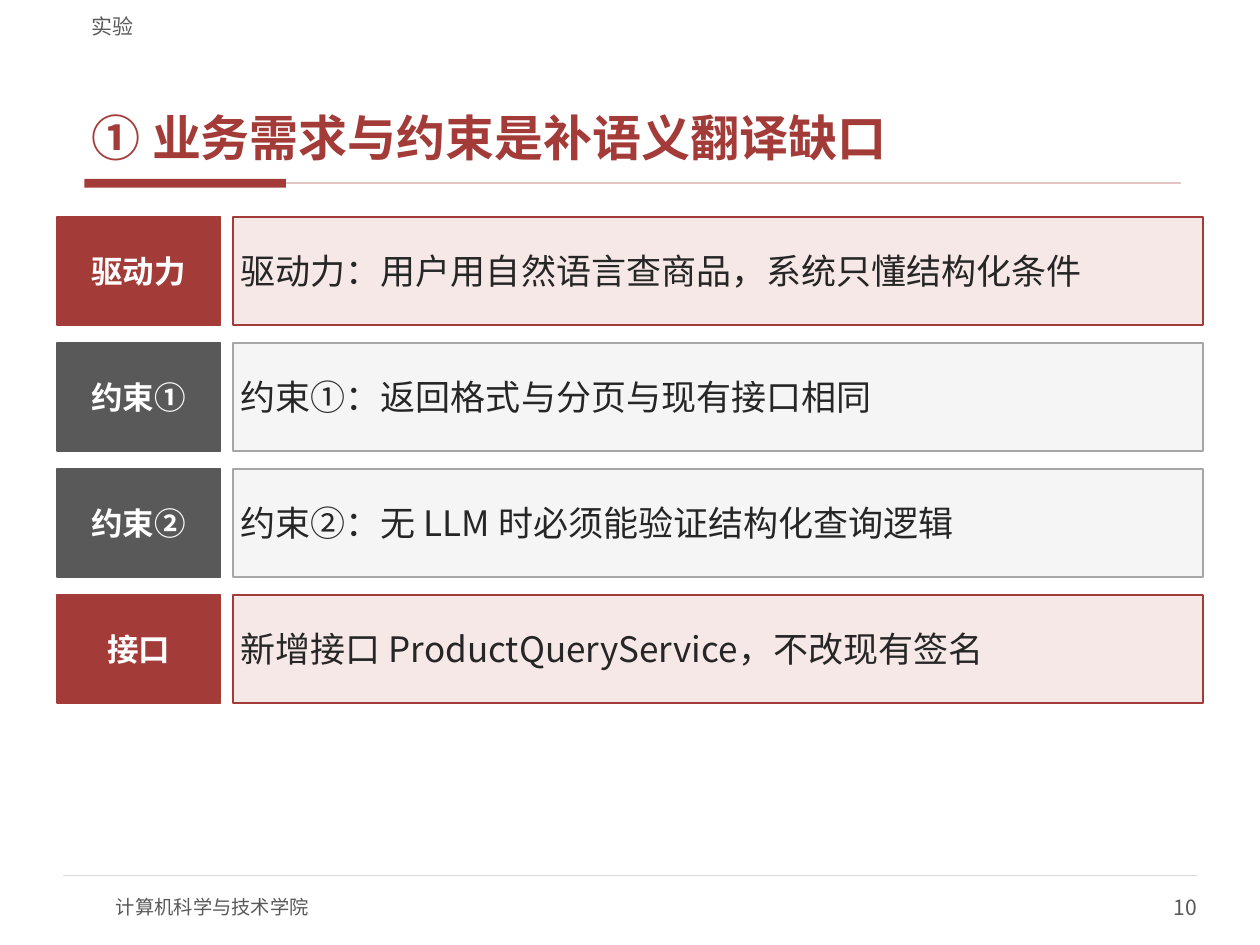
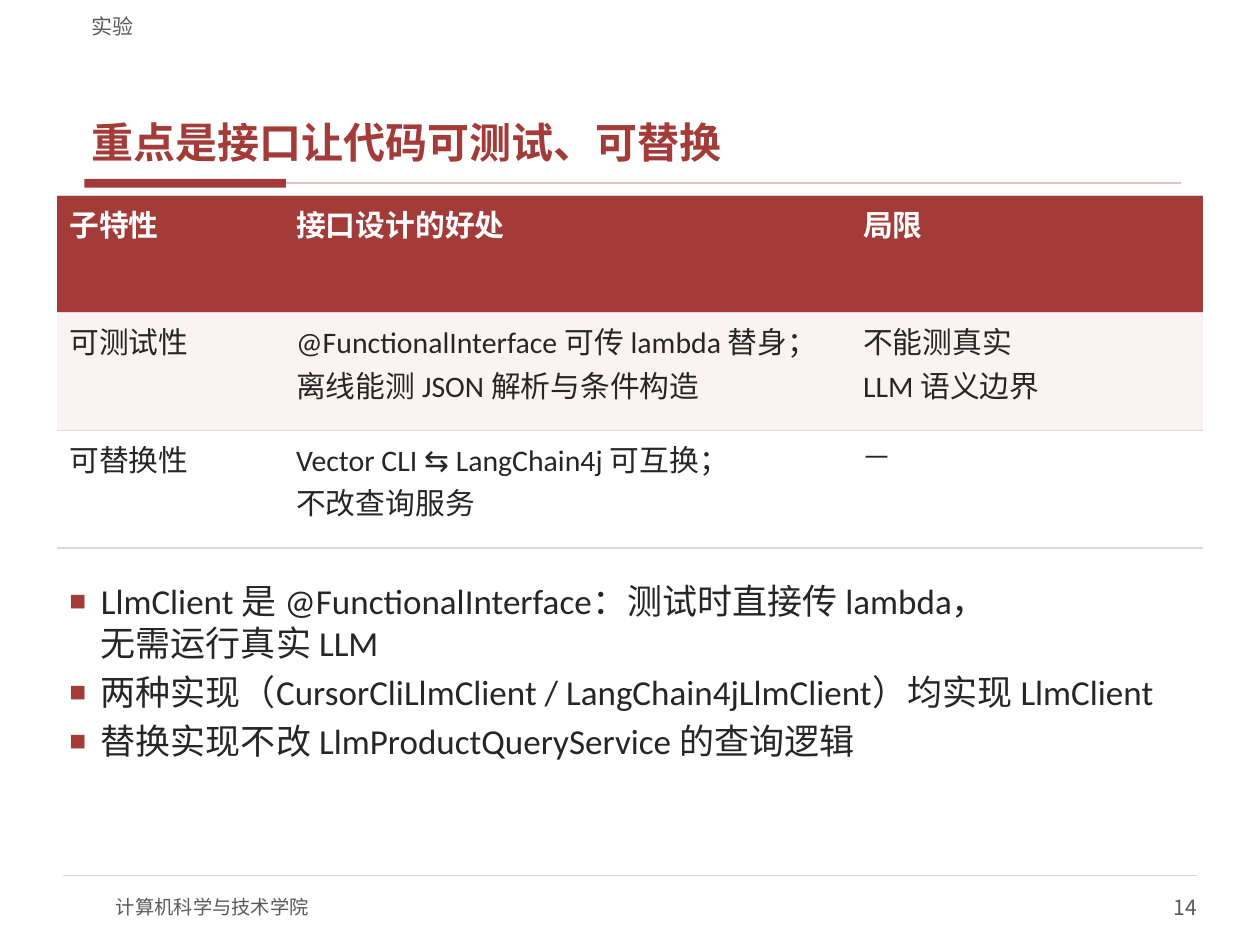
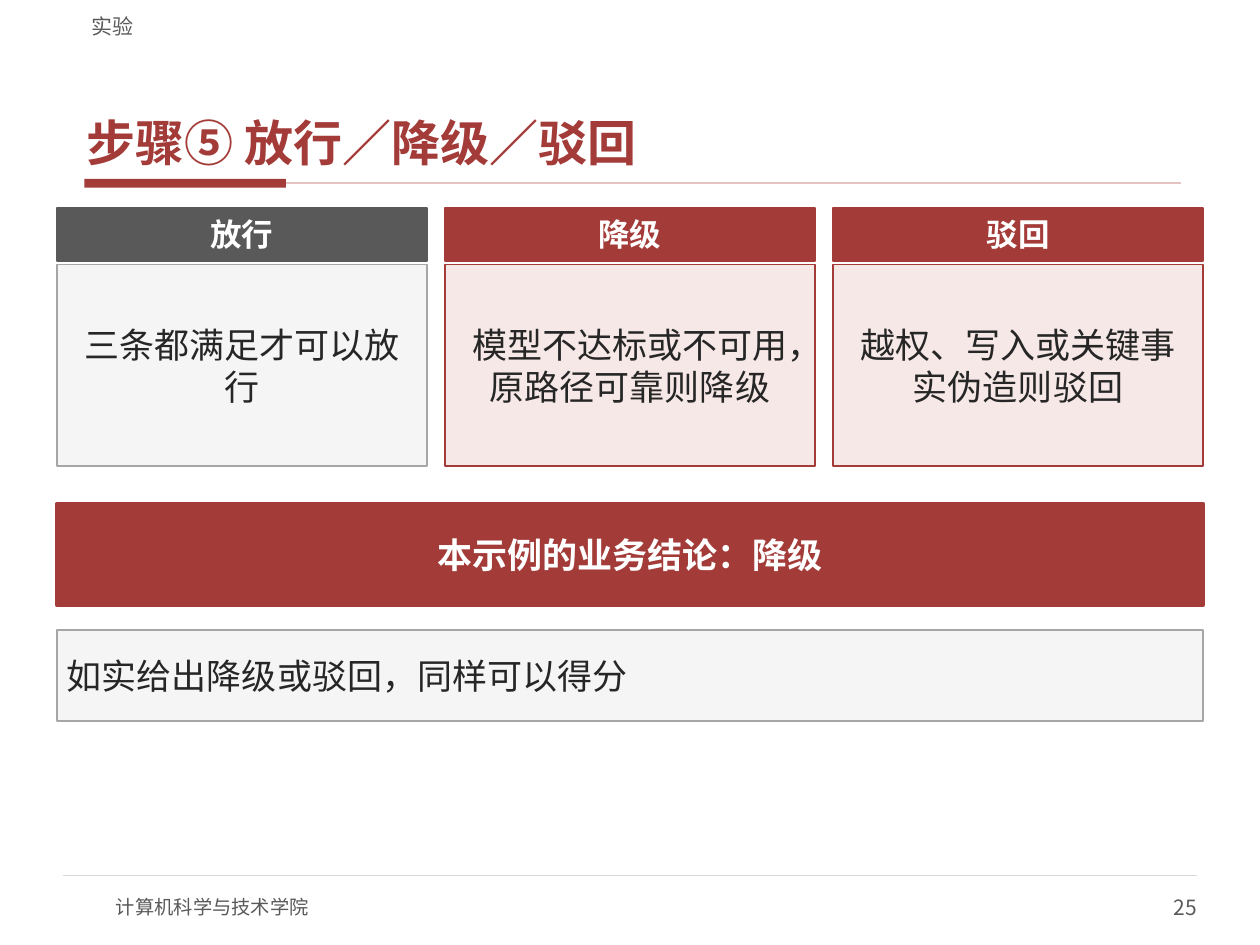
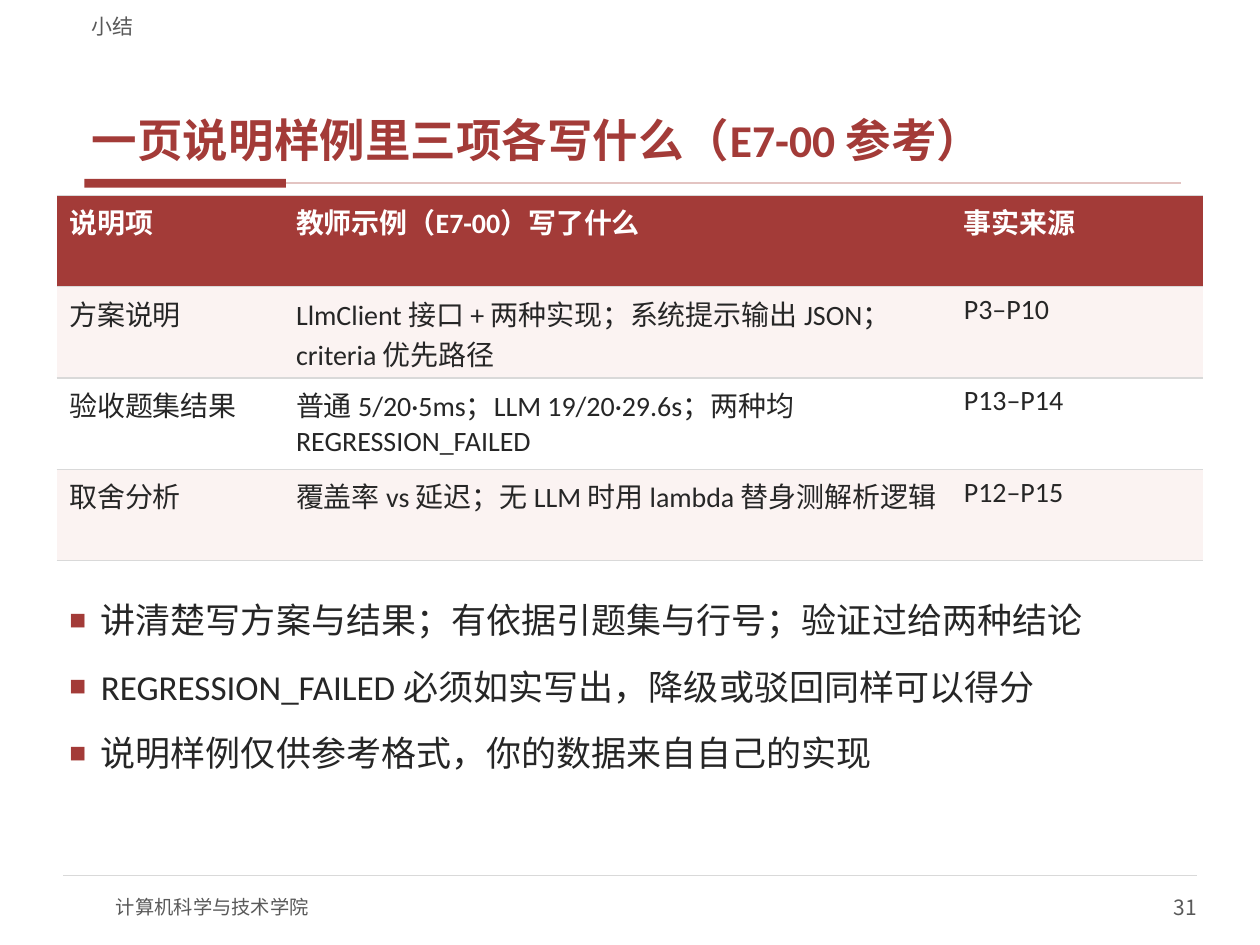
from copy import deepcopy
from dataclasses import dataclass
from typing import Optional, Sequence

from lxml.etree import SubElement
from pptx import Presentation
from pptx.dml.color import RGBColor
from pptx.enum.shapes import MSO_CONNECTOR, MSO_SHAPE
from pptx.enum.text import MSO_ANCHOR, MSO_AUTO_SIZE, PP_ALIGN
from pptx.oxml import parse_xml
from pptx.oxml.ns import nsdecls, qn
from pptx.util import Emu, Pt

PX = 9144  # 100 px to the inch
TITLE_AND_CONTENT, TITLE_ONLY = 1, 5


@dataclass(frozen=True)
class Theme:
    red: str = "A33B38"
    pale_red: str = "F6E8E6"
    row_tint: str = "FBF3F2"
    title_rule: str = "E3C4C2"
    gray: str = "595959"
    pale_gray: str = "F5F5F5"
    gray_border: str = "A6A6A6"
    hairline: str = "D9D9D9"
    ink: str = "262626"
    white: str = "FFFFFF"
    latin: str = "Calibri"
    chinese: str = "Noto Sans CJK SC"
    footer_size: int = 11
    small_size: int = 12
    label_size: int = 18
    body_size: int = 20
    body_leading: int = 24


THEME = Theme()


@dataclass(frozen=True)
class Box:
    left: int
    top: int
    width: int
    height: int

    def emu(self) -> tuple:
        return tuple(Emu(n * PX) for n in (self.left, self.top, self.width, self.height))


@dataclass(frozen=True)
class Palette:
    strong: str
    pale: str
    border: str


RED = Palette(THEME.red, THEME.pale_red, THEME.red)
GRAY = Palette(THEME.gray, THEME.pale_gray, THEME.gray_border)


@dataclass(frozen=True)
class Entry:
    label: str
    text: str
    palette: Palette


@dataclass(frozen=True)
class TableSlide:
    title: str
    title_size: int
    section: str
    number: int
    columns: Sequence[int]
    table_height: int
    cell_size: int
    rows: Sequence[Sequence[str]]
    list_top: int
    list_gap: int
    points: Sequence[str]


MARGIN, CONTENT_WIDTH = 45, 910
TITLE_BOX = Box(63, 33, 875, 105)
SECTION_BOX = Box(63, 4, 875, 27)
ACCENT_BAR = Box(67, 142, 160, 7)
FOOTER_BOX = Box(92, 700, 400, 40)
NUMBER_BOX = Box(750, 700, 200, 40)
LABEL_INSETS = (8, 4)

REQUIREMENTS = [
    Entry("驱动力", "驱动力：用户用自然语言查商品，系统只懂结构化条件", RED),
    Entry("约束①", "约束①：返回格式与分页与现有接口相同", GRAY),
    Entry("约束②", "约束②：无 LLM 时必须能验证结构化查询逻辑", GRAY),
    Entry("接口", "新增接口 ProductQueryService，不改现有签名", RED),
]
DECISIONS = [
    Entry("放行", "三条都满足才可以放行", GRAY),
    Entry("降级", "模型不达标或不可用，原路径可靠则降级", RED),
    Entry("驳回", "越权、写入或关键事实伪造则驳回", RED),
]
INTERFACE_SLIDE = TableSlide(
    title="重点是接口让代码可测试、可替换", title_size=24, section="实验", number=14,
    columns=(180, 450, 280), table_height=280, cell_size=17,
    rows=[
        ("子特性", "接口设计的好处", "局限"),
        ("可测试性", "@FunctionalInterface 可传 lambda 替身；离线能测 JSON 解析与条件构造",
         "不能测真实 \nLLM 语义边界"),
        ("可替换性", "Vector CLI ⇆ LangChain4j 可互换；\n不改查询服务", "—"),
    ],
    list_top=455, list_gap=4,
    points=[
        "LlmClient 是 @FunctionalInterface：测试时直接传 lambda，\n无需运行真实 LLM",
        "两种实现（CursorCliLlmClient / LangChain4jLlmClient）均实现 LlmClient",
        "替换实现不改 LlmProductQueryService 的查询逻辑",
    ],
)
SUMMARY_SLIDE = TableSlide(
    title="一页说明样例里三项各写什么（E7-00 参考）", title_size=26, section="小结", number=31,
    columns=(180, 530, 200), table_height=290, cell_size=16,
    rows=[
        ("说明项", "教师示例（E7-00）写了什么", "事实来源"),
        ("方案说明", "LlmClient 接口 + 两种实现；系统提示输出 JSON；criteria 优先路径", "P3–P10"),
        ("验收题集结果", "普通 5/20·5ms；LLM 19/20·29.6s；两种均 REGRESSION_FAILED", "P13–P14"),
        ("取舍分析", "覆盖率 vs 延迟；无 LLM 时用 lambda 替身测解析逻辑", "P12–P15"),
    ],
    list_top=470, list_gap=14,
    points=[
        "讲清楚写方案与结果；有依据引题集与行号；验证过给两种结论",
        "REGRESSION_FAILED 必须如实写出，降级或驳回同样可以得分",
        "说明样例仅供参考格式，你的数据来自自己的实现",
    ],
)


def rgb(color: str) -> RGBColor:
    return RGBColor.from_string(color)


def add_square_bullet(paragraph) -> None:
    properties = paragraph._p.get_or_add_pPr()
    properties.set("marL", str(25 * PX))
    properties.set("indent", str(-25 * PX))
    SubElement(SubElement(properties, qn("a:buClr")), qn("a:srgbClr")).set("val", THEME.red)
    SubElement(properties, qn("a:buSzPct")).set("val", "80000")
    SubElement(properties, qn("a:buChar")).set("char", "■")


def write_text(frame, *texts: str, size: int, color: str = THEME.ink, bold: bool = False,
               font: str = THEME.chinese, align=PP_ALIGN.LEFT, line_spacing=None,
               gap: int = 0, space_after: int = 0, bullets: bool = False) -> None:
    """Write one paragraph per text; a newline inside a text is a line break."""
    for index, text in enumerate(texts):
        paragraph = frame.add_paragraph() if index else frame.paragraphs[0]
        paragraph.text = text
        if bullets:
            add_square_bullet(paragraph)
        paragraph.alignment = align
        paragraph.space_before = Pt(gap if index else 0)
        paragraph.space_after = Pt(space_after)
        if line_spacing is not None:
            paragraph.line_spacing = line_spacing
        for run in paragraph.runs:
            run.font.name = font
            run.font.size = Pt(size)
            run.font.bold = bold
            run.font.color.rgb = rgb(color)
            latin = run.font._element.find(qn("a:latin"))
            latin.addnext(parse_xml(f'<a:ea {nsdecls("a")} typeface="{THEME.chinese}"/>'))
        for line_break in paragraph._p.findall(qn("a:br")):
            line_break.insert(0, deepcopy(paragraph.runs[0].font._element))


def set_frame(frame, *, anchor=MSO_ANCHOR.MIDDLE, insets: tuple = (10, 5),
              auto_size=MSO_AUTO_SIZE.NONE) -> None:
    frame.word_wrap = True
    frame.auto_size = auto_size
    frame.vertical_anchor = anchor
    frame.margin_left = frame.margin_right = Emu(insets[0] * PX)
    frame.margin_top = frame.margin_bottom = Emu(insets[1] * PX)


def place(shape, box: Box) -> None:
    shape.left, shape.top, shape.width, shape.height = box.emu()


def add_text(slide, box: Box, text: str, *, anchor=MSO_ANCHOR.MIDDLE,
             insets: tuple = (0, 0), **text_format) -> None:
    frame = slide.shapes.add_textbox(*box.emu()).text_frame
    set_frame(frame, anchor=anchor, insets=insets)
    write_text(frame, text, color=THEME.gray, **text_format)


def add_rectangle(slide, box: Box, fill: str, border: Optional[str] = None,
                  border_width: float = 1):
    shape = slide.shapes.add_shape(MSO_SHAPE.RECTANGLE, *box.emu())
    shape.shadow.inherit = False
    shape.fill.solid()
    shape.fill.fore_color.rgb = rgb(fill)
    if border:
        shape.line.color.rgb = rgb(border)
        shape.line.width = Pt(border_width)
    else:
        shape.line.fill.background()
    return shape


def add_label(slide, box: Box, text: str, color: str, *, size: int = THEME.label_size,
              border_width: float = 1) -> None:
    frame = add_rectangle(slide, box, color, color, border_width).text_frame
    set_frame(frame, insets=LABEL_INSETS)
    write_text(frame, text, size=size, color=THEME.white, bold=True, align=PP_ALIGN.CENTER)


def add_panel(slide, box: Box, text: str, palette: Palette, *,
              insets: tuple = LABEL_INSETS, **text_format) -> None:
    frame = add_rectangle(slide, box, palette.pale, palette.border).text_frame
    set_frame(frame, insets=insets)
    write_text(frame, text, size=THEME.body_size, **text_format)


def add_rule(slide, left: int, right: int, y: int, color: str, width: float):
    rule = slide.shapes.add_connector(
        MSO_CONNECTOR.STRAIGHT, *(Emu(n * PX) for n in (left, y, right, y)))
    rule.line.color.rgb = rgb(color)
    rule.line.width = Pt(width)
    SubElement(rule._element.spPr, qn("a:effectLst"))
    return rule


def add_slide(presentation, layout: int, title: str, section: str, number: int, *,
              title_size: int = 28, title_insets: tuple = (10, 5), **title_format):
    """Add a slide with its title, section name, rules and footer."""
    slide = presentation.slides.add_slide(presentation.slide_layouts[layout])
    bar = add_rectangle(slide, ACCENT_BAR, THEME.red)
    title_rule = add_rule(slide, 227, 937, 146, THEME.title_rule, 1)
    title_rule.begin_connect(bar, 3)
    title_rule.end_y = title_rule.begin_y
    add_rule(slide, 50, 950, 695, THEME.hairline, 0.75)
    add_text(slide, FOOTER_BOX, "计算机科学与技术学院", size=THEME.footer_size)
    add_text(slide, NUMBER_BOX, str(number), size=THEME.small_size, align=PP_ALIGN.RIGHT)
    add_text(slide, SECTION_BOX, section, size=THEME.small_size,
             anchor=MSO_ANCHOR.BOTTOM, insets=(10, 0))

    place(slide.shapes.title, TITLE_BOX)
    frame = slide.shapes.title.text_frame
    set_frame(frame, anchor=MSO_ANCHOR.BOTTOM, insets=title_insets)
    title_format = {"font": THEME.latin, "line_spacing": 0.9} | title_format
    write_text(frame, title, size=title_size, color=THEME.red, bold=True, **title_format)
    return slide


def set_cell_borders(cell) -> None:
    """Hairlines above and below the cell, none at its sides."""
    properties = cell._tc.get_or_add_tcPr()
    hairline = f'<a:solidFill><a:srgbClr val="{THEME.hairline}"/></a:solidFill>'
    sides = {"lnL": "<a:noFill/>", "lnR": "<a:noFill/>", "lnT": hairline, "lnB": hairline}
    for index, (side, fill) in enumerate(sides.items()):
        properties.insert(index, parse_xml(
            f'<a:{side} {nsdecls("a")} w="{Pt(0.75)}">{fill}</a:{side}>'))


def add_striped_table(slide, content: TableSlide) -> None:
    box = Box(MARGIN, 155, CONTENT_WIDTH, content.table_height)
    table = slide.shapes.add_table(
        len(content.rows), len(content.columns), *box.emu()).table
    table.horz_banding = False
    for column, width in zip(table.columns, content.columns):
        column.width = Emu(width * PX)
    for row_index, texts in enumerate(content.rows):
        header = row_index == 0
        stripe = THEME.row_tint if row_index % 2 else THEME.white
        for column_index, text in enumerate(texts):
            cell = table.cell(row_index, column_index)
            cell.fill.solid()
            cell.fill.fore_color.rgb = rgb(THEME.red if header else stripe)
            set_cell_borders(cell)
            write_text(cell.text_frame, text, size=content.cell_size, font=THEME.latin,
                       color=THEME.white if header else THEME.ink, bold=header)


def add_requirements_slide(presentation) -> None:
    slide = add_slide(presentation, TITLE_ONLY, "① 业务需求与约束是补语义翻译缺口", "实验", 10)
    for index, entry in enumerate(REQUIREMENTS):
        top = 172 + 100 * index
        add_label(slide, Box(MARGIN, top, 130, 86), entry.label, entry.palette.strong)
        add_panel(slide, Box(185, top, 770, 86), entry.text, entry.palette, insets=(6, 3))


def add_decisions_slide(presentation) -> None:
    slide = add_slide(presentation, TITLE_ONLY, "步骤⑤ 放行／降级／驳回", "实验", 25,
                      title_insets=(6, 2), font=THEME.chinese, line_spacing=1.0,
                      space_after=2)
    width, gap = 294, 14
    for index, entry in enumerate(DECISIONS):
        left = MARGIN + index * (width + gap)
        add_label(slide, Box(left, 165, width, 42), entry.label, entry.palette.strong)
        add_panel(slide, Box(left, 210, width, 160), entry.text, entry.palette,
                  align=PP_ALIGN.CENTER, line_spacing=Pt(THEME.body_leading))
    add_label(slide, Box(MARGIN, 400, CONTENT_WIDTH, 80), "本示例的业务结论：降级",
              THEME.red, size=THEME.body_size, border_width=2.25)
    add_panel(slide, Box(MARGIN, 500, CONTENT_WIDTH, 72),
              "如实给出降级或驳回，同样可以得分", GRAY)


def add_table_slide(presentation, content: TableSlide) -> None:
    slide = add_slide(presentation, TITLE_AND_CONTENT, content.title, content.section,
                      content.number, title_size=content.title_size)
    add_striped_table(slide, content)
    body = slide.placeholders[1]
    place(body, Box(MARGIN, content.list_top, 900, 170))
    set_frame(body.text_frame, anchor=MSO_ANCHOR.TOP,
              auto_size=MSO_AUTO_SIZE.SHAPE_TO_FIT_TEXT)
    write_text(body.text_frame, *content.points, size=THEME.body_size, font=THEME.latin,
               line_spacing=Pt(THEME.body_leading), gap=content.list_gap, bullets=True)


def main() -> None:
    presentation = Presentation()
    presentation.slide_width, presentation.slide_height = Emu(1000 * PX), Emu(750 * PX)
    add_requirements_slide(presentation)
    add_table_slide(presentation, INTERFACE_SLIDE)
    add_decisions_slide(presentation)
    add_table_slide(presentation, SUMMARY_SLIDE)
    presentation.save("out.pptx")


if __name__ == "__main__":
    main()
